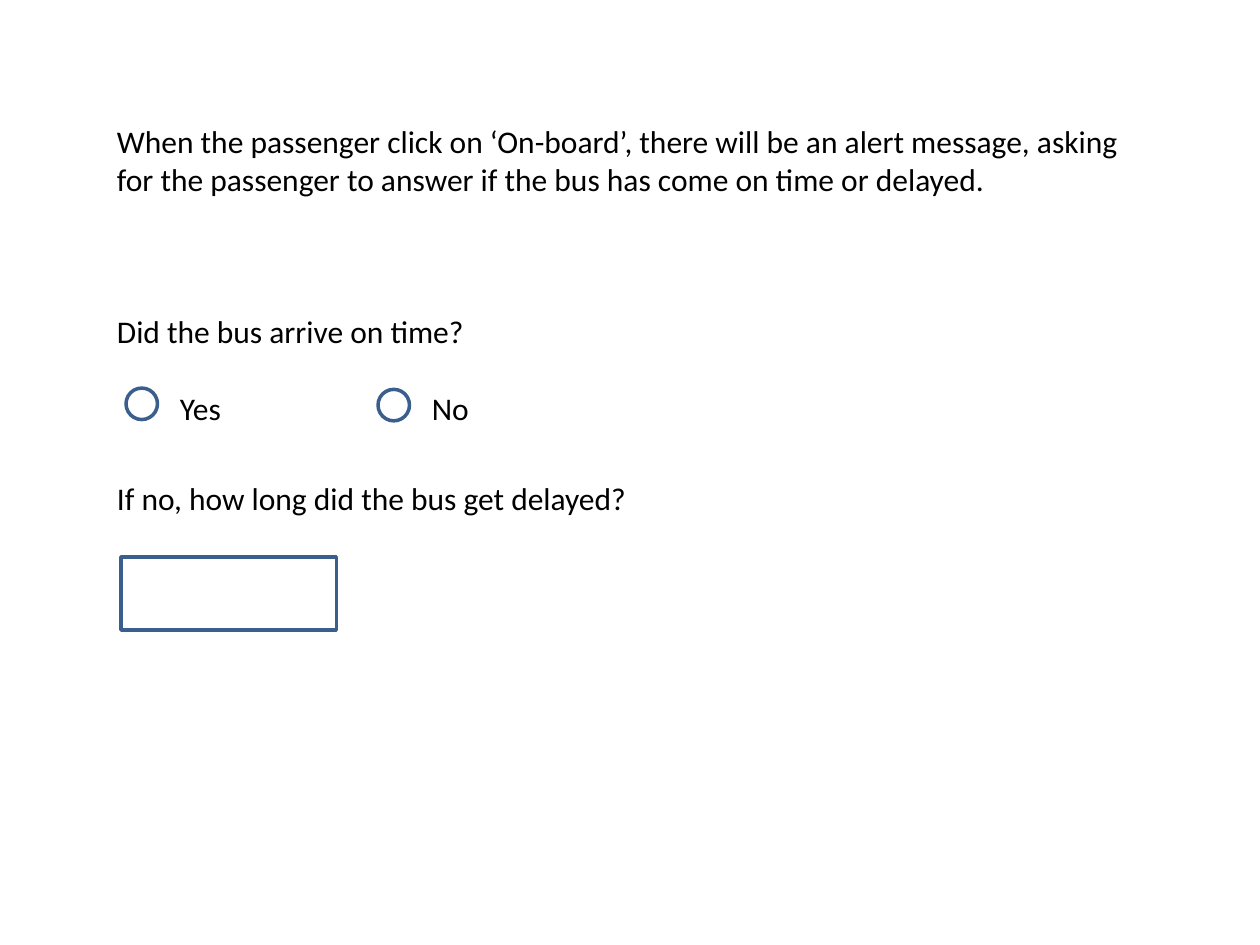
"""Build the bus arrival survey slide."""
from dataclasses import dataclass

import pptx
import pptx.dml.color
import pptx.enum.shapes
import pptx.enum.text
import pptx.slide
import pptx.util

Inches = pptx.util.Inches
Shape = pptx.enum.shapes.MSO_SHAPE


@dataclass(frozen=True)
class Theme:
    font: str = "Calibri"
    text_size: float = 18
    line_width: float = 2
    ink: str = "000000"
    outline: str = "3A5F8C"


@dataclass(frozen=True)
class Area:
    left: float
    top: float
    width: float
    height: float

    def lengths(self) -> list[pptx.util.Length]:
        return [Inches(n) for n in (self.left, self.top, self.width, self.height)]


@dataclass(frozen=True)
class Statement:
    text: str
    area: Area


@dataclass(frozen=True)
class Choice:
    label: str
    left: float
    circle_top: float


THEME = Theme()
MARGIN = 0.83
LABEL_TOP = 3.04
LABEL_OFFSET = 0.33
CIRCLE_SIZE = 0.25
LINE_HEIGHT = 0.4

STATEMENTS = [
    Statement(
        "When the passenger click on ‘On-board’, there will be an alert message, "
        "asking for the passenger to answer if the bus has come on time or delayed.",
        Area(MARGIN, 0.92, 8.33, 0.71),
    ),
    Statement("Did the bus arrive on time?", Area(MARGIN, 2.43, 5.67, LINE_HEIGHT)),
    Statement("If no, how long did the bus get delayed?", Area(MARGIN, 3.75, 4.5, LINE_HEIGHT)),
]
CHOICES = [Choice("Yes", 1, 3.08), Choice("No", 3, 3.09)]
DELAY_FIELD = Area(0.96, 4.42, 1.71, 0.58)


def add_text(page: pptx.slide.Slide, text: str, *, area: Area,
             size: float = THEME.text_size, color: str = THEME.ink) -> None:
    box = page.shapes.add_textbox(*area.lengths())
    frame = box.text_frame
    frame.word_wrap = True
    frame.auto_size = pptx.enum.text.MSO_AUTO_SIZE.SHAPE_TO_FIT_TEXT
    span = frame.paragraphs[0].add_run()
    span.text = text
    span.font.name = THEME.font
    span.font.size = pptx.util.Pt(size)
    span.font.color.rgb = pptx.dml.color.RGBColor.from_string(color)


def add_outline(page: pptx.slide.Slide, kind: Shape, area: Area) -> None:
    shape = page.shapes.add_shape(kind, *area.lengths())
    shape.shadow.inherit = False
    shape.fill.background()
    shape.line.color.rgb = pptx.dml.color.RGBColor.from_string(THEME.outline)
    shape.line.width = pptx.util.Pt(THEME.line_width)


def add_choice(page: pptx.slide.Slide, choice: Choice) -> None:
    circle = Area(choice.left, choice.circle_top, CIRCLE_SIZE, CIRCLE_SIZE)
    add_outline(page, Shape.OVAL, circle)
    label = Area(choice.left + LABEL_OFFSET, LABEL_TOP, 1, LINE_HEIGHT)
    add_text(page, choice.label, area=label)


def main() -> None:
    deck = pptx.Presentation()
    deck.slide_width = Inches(10)
    deck.slide_height = Inches(7.5)
    page = deck.slides.add_slide(deck.slide_layouts.get_by_name("Blank"))
    for statement in STATEMENTS:
        add_text(page, statement.text, area=statement.area)
    for choice in CHOICES:
        add_choice(page, choice)
    add_outline(page, Shape.RECTANGLE, DELAY_FIELD)
    deck.save("out.pptx")


main()
